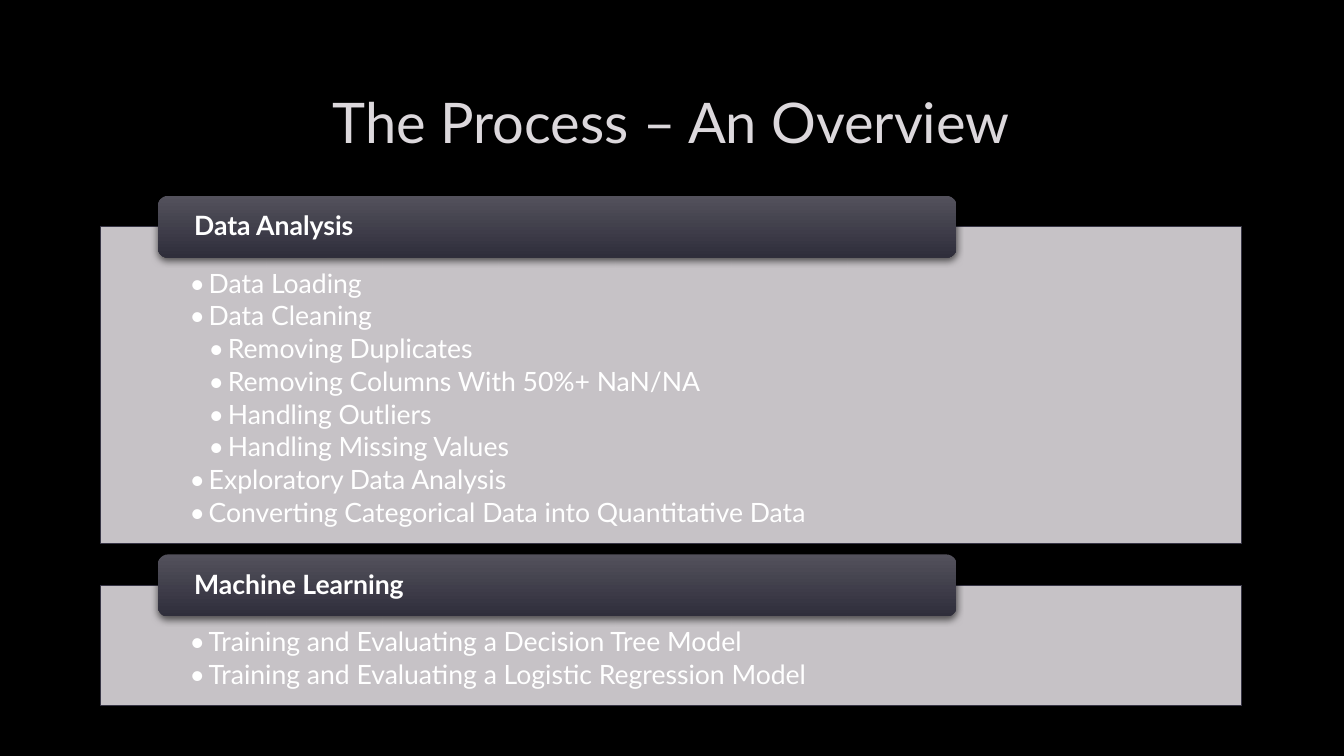
from dataclasses import dataclass

from lxml.etree import SubElement
from pptx import Presentation
from pptx.dml.color import RGBColor
from pptx.enum.shapes import MSO_SHAPE
from pptx.enum.text import MSO_ANCHOR, MSO_AUTO_SIZE, PP_ALIGN
from pptx.oxml.ns import qn
from pptx.util import Inches, Pt


@dataclass(frozen=True)
class Theme:
    font: str = "Lato"
    background: str = "000000"
    title: str = "DCD8DC"
    text: str = "FFFFFF"
    panel: str = "DCD8DC"
    panel_line: str = "373545"
    tab_top: str = "53515C"
    tab_bottom: str = "2F2E3B"
    shadow: str = "000000"
    title_size: int = 40
    text_size: int = 19


LEFT, WIDTH = 7.5, 84.9
TITLE_TOP, TITLE_HEIGHT = 8.93, 14.13
FIRST_PANEL_TOP, PANEL_GAP = 30, 5.6
PANEL_PADDING, LINE_HEIGHT = 7.2, 4.33
TAB_LEFT, TAB_WIDTH, TAB_HEIGHT = LEFT + WIDTH * 0.05, WIDTH * 0.7, 8.2
TAB_INSET, PANEL_INSET, BULLET_INDENT = 2.48, 6.6, 1.43
PANEL_INSET_TOP, PANEL_INSET_BOTTOM = 5.73, 2

SECTIONS = [
    ("Data Analysis", [
        (1, "Data Loading"),
        (1, "Data Cleaning"),
        (2, "Removing Duplicates"),
        (2, "Removing Columns With 50%+ NaN/NA"),
        (2, "Handling Outliers"),
        (2, "Handling Missing Values"),
        (1, "Exploratory Data Analysis"),
        (1, "Converting Categorical Data into Quantitative Data"),
    ]),
    ("Machine Learning", [
        (1, "Training and Evaluating a Decision Tree Model"),
        (1, "Training and Evaluating a Logistic Regression Model"),
    ]),
]


class SlideBuilder:
    def __init__(self, deck, theme):
        self.deck, self.theme = deck, theme
        self.page = deck.slides.add_slide(deck.slide_layouts[3])
        fill = self.page.background.fill
        fill.solid()
        fill.fore_color.rgb = RGBColor.from_string(theme.background)

    def across(self, percent):
        return round(self.deck.slide_width * percent / 100)

    def down(self, percent):
        return round(self.deck.slide_height * percent / 100)

    def place(self, box, left, top, width, height):
        box.left, box.top = self.across(left), self.down(top)
        box.width, box.height = self.across(width), self.down(height)

    def prepare(self, frame, anchor, side=0, top=0, bottom=0):
        frame.auto_size = MSO_AUTO_SIZE.NONE
        frame.word_wrap = True
        frame.vertical_anchor = anchor
        frame.margin_left = frame.margin_right = self.across(side)
        frame.margin_top, frame.margin_bottom = self.down(top), self.down(bottom)

    def style(self, para, size, color, bold=False):
        para.font.name = self.theme.font
        para.font.size = Pt(size)
        para.font.bold = bold
        para.font.color.rgb = RGBColor.from_string(color)

    def title(self, text):
        box = self.page.shapes.title
        self.place(box, LEFT, TITLE_TOP, WIDTH, TITLE_HEIGHT)
        self.prepare(box.text_frame, MSO_ANCHOR.MIDDLE)
        box.text_frame.text = text
        para = box.text_frame.paragraphs[0]
        para.alignment = PP_ALIGN.CENTER
        self.style(para, self.theme.title_size, self.theme.title)

    def bullet(self, para, level, text):
        para.text = text
        para.level = level
        para.line_spacing = 0.9
        para.space_before = Pt(0)
        para.space_after = Pt(self.theme.text_size * 0.15)
        properties = para._p.get_or_add_pPr()
        indent = self.across(BULLET_INDENT)
        properties.set("marL", str(indent * level))
        properties.set("indent", str(-indent))
        SubElement(properties, qn("a:buFont")).set("typeface", self.theme.font)
        SubElement(properties, qn("a:buChar")).set("char", "•")
        self.style(para, self.theme.text_size, self.theme.text)

    def panel(self, box, top, height, items):
        self.place(box, LEFT, top, WIDTH, height)
        box.fill.solid()
        box.fill.fore_color.rgb = RGBColor.from_string(self.theme.panel)
        color = box.fill._xPr.find(qn("a:solidFill"))[0]
        SubElement(color, qn("a:alpha")).set("val", "90000")
        box.line.color.rgb = RGBColor.from_string(self.theme.panel_line)
        box.line.width = Pt(0.75)
        frame = box.text_frame
        self.prepare(frame, MSO_ANCHOR.TOP, PANEL_INSET,
                     PANEL_INSET_TOP, PANEL_INSET_BOTTOM)
        for index, (level, text) in enumerate(items):
            para = frame.add_paragraph() if index else frame.paragraphs[0]
            self.bullet(para, level, text)

    def tab(self, top, text):
        box = self.page.shapes.add_shape(MSO_SHAPE.ROUNDED_RECTANGLE, 0, 0, 0, 0)
        self.place(box, TAB_LEFT, top, TAB_WIDTH, TAB_HEIGHT)
        box.fill.gradient()
        box.fill.gradient_angle = 270
        for stop, color in zip(box.fill.gradient_stops,
                               (self.theme.tab_top, self.theme.tab_bottom)):
            stop.color.rgb = RGBColor.from_string(color)
        box.line.fill.background()
        self.drop_shadow(box)
        self.prepare(box.text_frame, MSO_ANCHOR.MIDDLE, TAB_INSET)
        box.text_frame.text = text
        para = box.text_frame.paragraphs[0]
        para.alignment = PP_ALIGN.LEFT
        para.line_spacing = 0.9
        self.style(para, self.theme.text_size, self.theme.text, bold=True)

    def drop_shadow(self, box):
        box.shadow.inherit = False
        effects = box._element.spPr.find(qn("a:effectLst"))
        shadow = SubElement(effects, qn("a:outerShdw"), blurRad=str(Pt(5)),
                            dist=str(Pt(2)), dir="5400000", rotWithShape="0")
        color = SubElement(shadow, qn("a:srgbClr"), val=self.theme.shadow)
        SubElement(color, qn("a:alpha"), val="60000")


def main():
    deck = Presentation()
    deck.slide_width, deck.slide_height = Inches(13.33), Inches(7.5)
    builder = SlideBuilder(deck, Theme())
    builder.title("The Process – An Overview")
    top = FIRST_PANEL_TOP
    for index, (heading, items) in enumerate(SECTIONS, start=1):
        height = PANEL_PADDING + LINE_HEIGHT * len(items)
        builder.panel(builder.page.placeholders[index], top, height, items)
        builder.tab(top - TAB_HEIGHT / 2, heading)
        top += height + PANEL_GAP
    deck.save("out.pptx")


if __name__ == "__main__":
    main()
